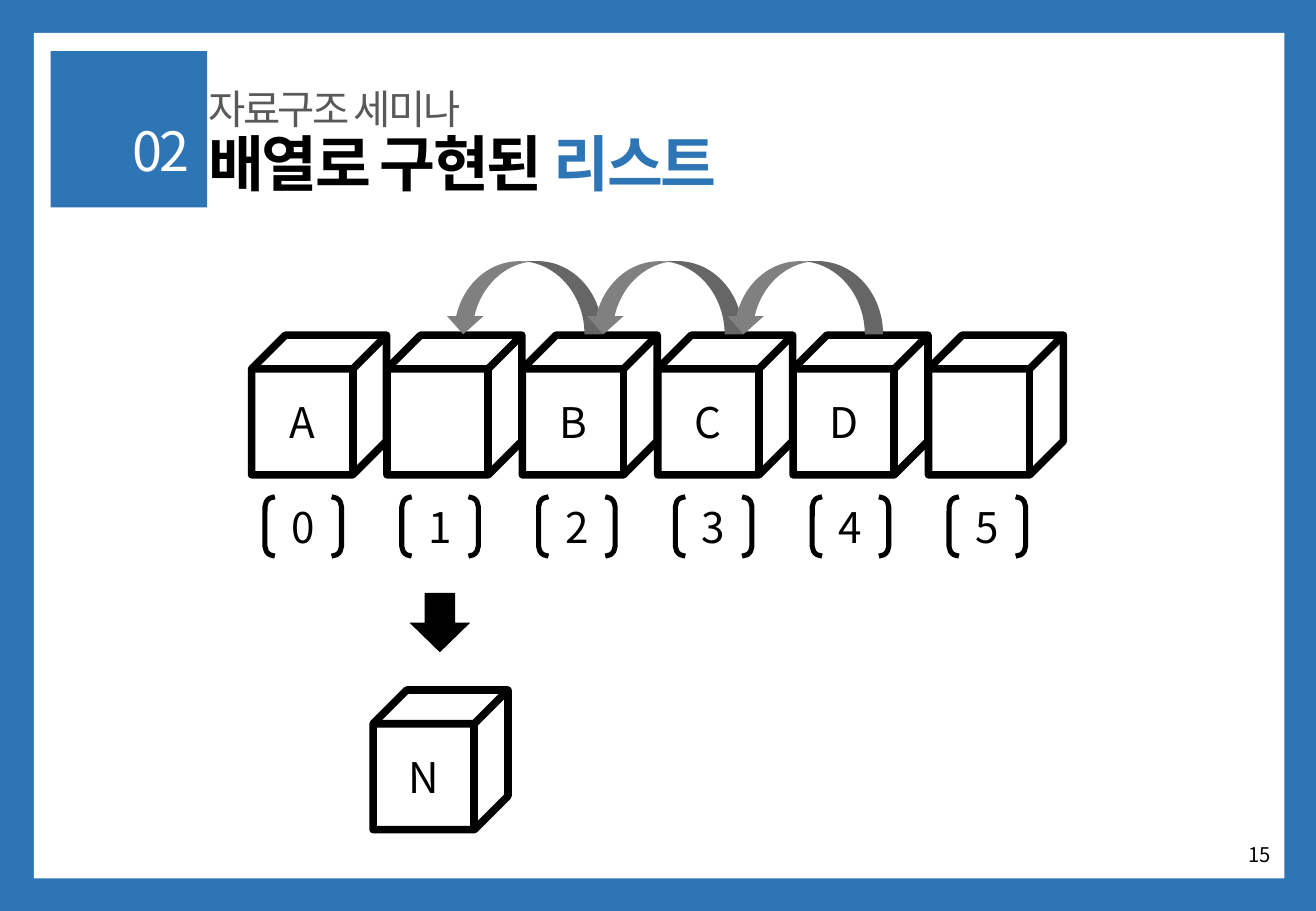
from dataclasses import dataclass

from lxml.etree import SubElement
from pptx import Presentation
from pptx.dml.color import RGBColor
from pptx.enum.shapes import MSO_SHAPE as Shape
from pptx.enum.text import MSO_ANCHOR as Anchor, PP_ALIGN as Align
from pptx.oxml.ns import qn
from pptx.util import Cm, Pt


@dataclass(frozen=True)
class Theme:
    font: str = "Noto Sans CJK KR"
    blue: str = "2E75B6"
    white: str = "FFFFFF"
    black: str = "000000"
    subtitle_gray: str = "595959"
    arrow_gray: str = "808080"
    title: int = 36
    section: int = 32
    subtitle: int = 24
    label: int = 25
    page: int = 12
    cube_line: float = 4.5
    bracket_line: float = 3


THEME = Theme()


def write(holder, *runs, size, align=Align.LEFT, tracking=None, leading=None):
    """Fill a text holder with one paragraph of (text, colour, bold) runs."""
    frame = holder.text_frame
    frame.word_wrap = True
    frame.vertical_anchor = Anchor.MIDDLE
    paragraph = frame.paragraphs[0]
    paragraph.alignment = align
    if leading:
        paragraph.line_spacing = leading
    for text, color, bold in runs:
        run = paragraph.add_run()
        run.text = text
        font = run.font
        font.size, font.bold, font.name = Pt(size), bold, THEME.font
        font.color.rgb = RGBColor.from_string(color)
        properties = run._r.get_or_add_rPr()
        SubElement(properties, qn("a:ea"), typeface=THEME.font)
        if tracking:
            properties.set("spc", str(int(tracking * 100)))


def add_text(slide, box, *runs, **text_format):
    holder = slide.shapes.add_textbox(*map(Cm, box))
    write(holder, *runs, **text_format)


def add_shape(slide, kind, box, fill=None, line=None, rotation=0):
    shape = slide.shapes.add_shape(kind, *map(Cm, box))
    shape.shadow.inherit = False
    shape.rotation = rotation
    if fill:
        shape.fill.solid()
        shape.fill.fore_color.rgb = RGBColor.from_string(fill)
    else:
        shape.fill.background()
    if line:
        shape.line.color.rgb = RGBColor.from_string(THEME.black)
        shape.line.width = Pt(line)
    else:
        shape.line.fill.background()
    return shape


def add_labelled(slide, kind, box, label, line):
    """Draw an outlined shape with an optional centred label."""
    outline = add_shape(slide, kind, box, line=line)
    if label:
        write(outline, (label, THEME.black, False), size=THEME.label, align=Align.CENTER)


def add_cube(slide, left, top, label):
    add_labelled(slide, Shape.CUBE, (left, top, 2.82, 2.92), label, THEME.cube_line)


def add_frame(slide):
    add_shape(slide, Shape.RECTANGLE, (0, 0, 27.51, 19.05), fill=THEME.blue)
    add_shape(slide, Shape.RECTANGLE, (0.71, 0.69, 26.14, 17.68), fill=THEME.white)
    add_shape(slide, Shape.RECTANGLE, (1.06, 1.07, 3.27, 3.27), fill=THEME.blue)


def add_headings(slide):
    heading = {"tracking": -1.5, "leading": 0.9}
    add_text(slide, (4.11, 2.72, 16.21, 1.52),
             ("배열로 구현된 ", THEME.black, True), ("리스트", THEME.blue, True),
             size=THEME.title, **heading)
    add_text(slide, (4.11, 1.93, 12.5, 0.79),
             ("자료구조 세미나", THEME.subtitle_gray, False),
             size=THEME.subtitle, **heading)
    add_text(slide, (1.5, 2.57, 2.72, 1.3), ("02", THEME.white, False),
             size=THEME.section, align=Align.RIGHT, **heading)
    add_text(slide, (20.62, 17.35, 6.2, 1.02), ("15", THEME.black, False),
             size=THEME.page, align=Align.RIGHT)


def add_array(slide, items):
    for index, item in enumerate(items):
        add_cube(slide, 5.26 + 2.83 * index, 7.01, item)
    for index in range(len(items)):
        add_labelled(slide, Shape.DOUBLE_BRACKET, (5.54 + 2.86 * index, 10.39, 1.6, 1.24),
                     str(index), THEME.bracket_line)


def add_removal(slide, item):
    add_cube(slide, 7.8, 14.43, item)
    add_shape(slide, Shape.UP_ARROW, (8.56, 12.4, 1.27, 1.24),
              fill=THEME.black, rotation=180)


def add_shifts(slide, count):
    for step in range(count):
        add_shape(slide, Shape.CURVED_UP_ARROW, (9.3 + 2.93 * step, 5.46, 3.3, 1.53),
                  fill=THEME.arrow_gray, rotation=180)


def main():
    deck = Presentation()
    deck.slide_width, deck.slide_height = Cm(27.51), Cm(19.05)
    slide = deck.slides.add_slide(deck.slide_layouts[6])
    add_frame(slide)
    add_headings(slide)
    add_array(slide, ["A", "", "B", "C", "D", ""])
    add_removal(slide, "N")
    add_shifts(slide, 3)
    deck.save("out.pptx")


if __name__ == "__main__":
    main()
